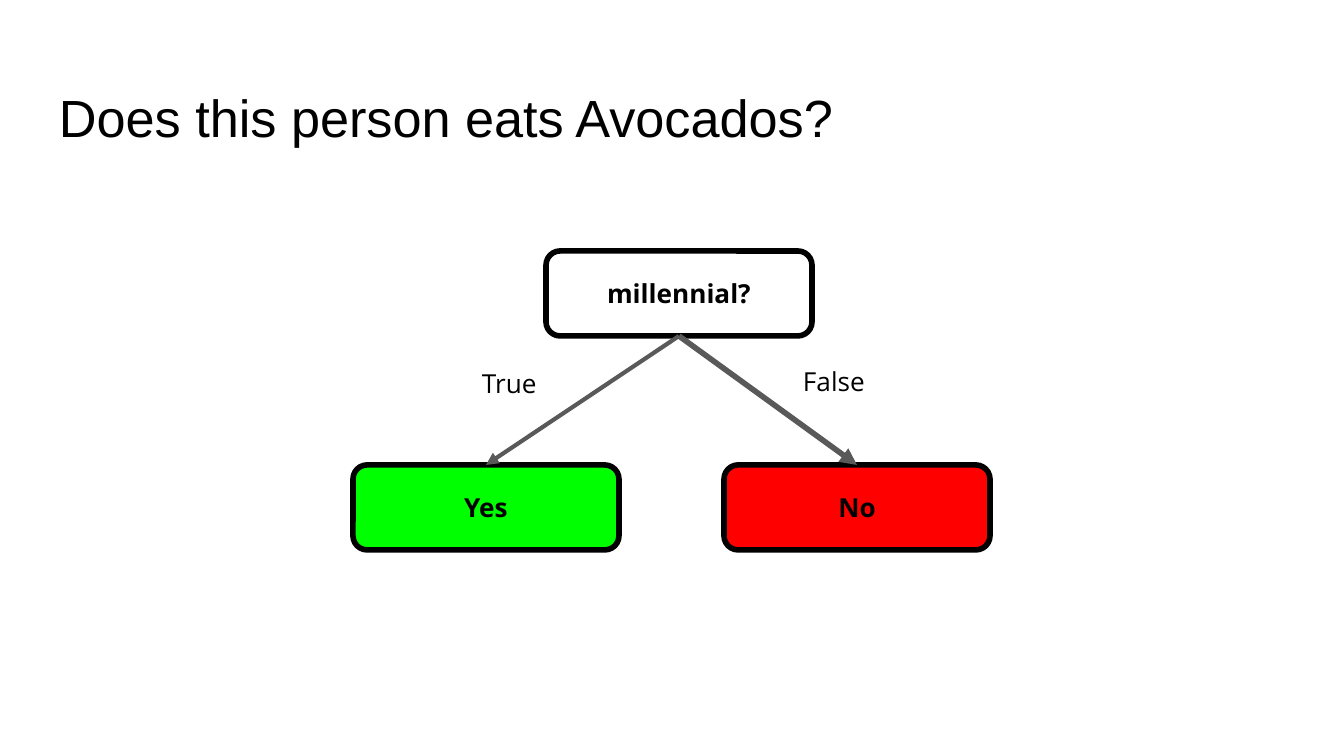
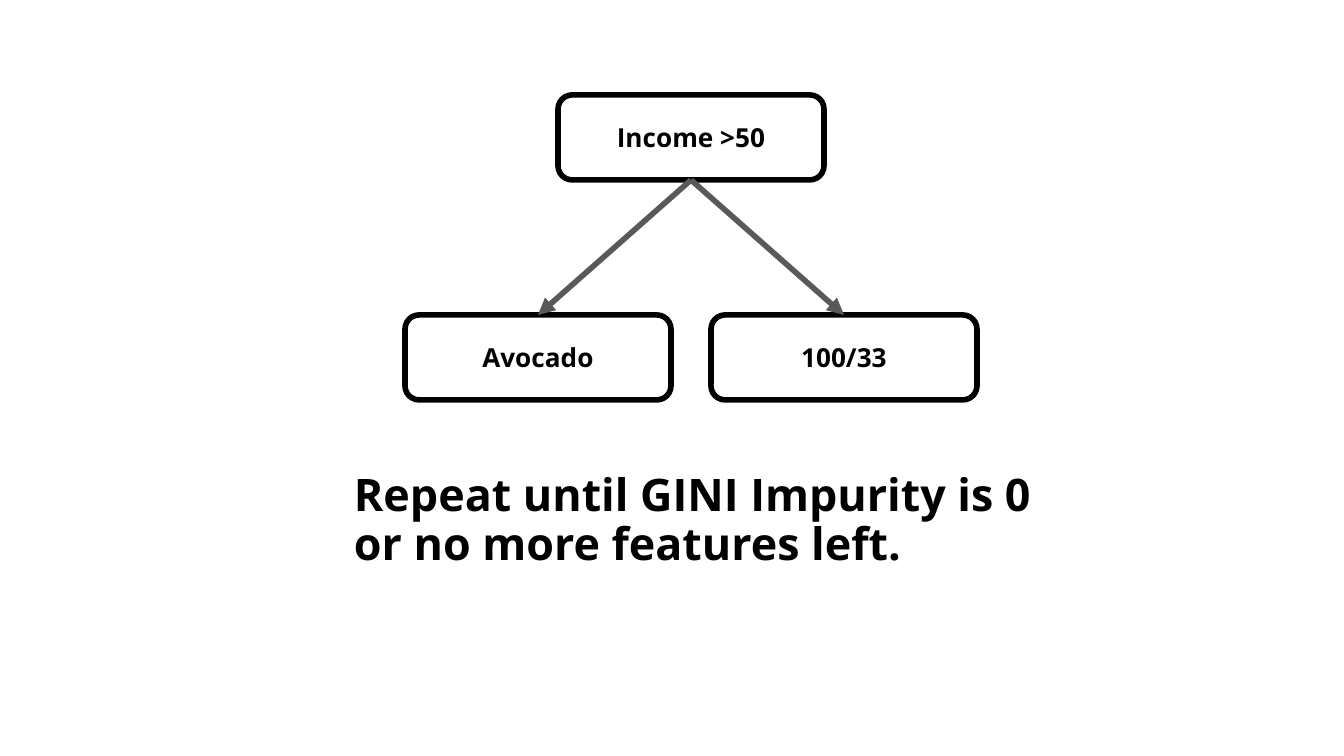
from pptx import Presentation
from pptx.dml.color import RGBColor
from pptx.enum.shapes import MSO_CONNECTOR, MSO_SHAPE
from pptx.enum.text import MSO_ANCHOR, PP_ALIGN
from pptx.oxml.ns import qn
from pptx.util import Pt
from lxml import etree

PX = 914400 / 134.4
BLACK, GREY, GREEN, RED = "000000", "595959", "00FF00", "FF0000"
HEADING_FONT, BODY_FONT = "Arial", "Open Sans"
NODE_WIDTH, NODE_HEIGHT, INSET = 266, 85, 13
BOTTOM, TOP = 2, 0  # connection sites of a rounded rectangle


def emu(*lengths):
    return [round(length * PX) for length in lengths]


def write(box, text, size, font=BODY_FONT, bold=False, spacing=1.0,
          align=PP_ALIGN.LEFT, anchor=MSO_ANCHOR.TOP):
    frame = box.text_frame
    frame.word_wrap = True
    frame.vertical_anchor = anchor
    frame.margin_left, frame.margin_top, frame.margin_right, frame.margin_bottom = emu(*[INSET] * 4)
    frame.text = text
    for para in frame.paragraphs:
        para.alignment = align
        para.line_spacing = spacing
        for span in para.runs:
            span.font.name = font
            span.font.size = Pt(size)
            span.font.bold = bold
            span.font.color.rgb = RGBColor.from_string(BLACK)


deck = Presentation()
deck.slide_width, deck.slide_height = emu(1344, 756)

# Each tree: root first, then its children with the width of their arrow
trees = [
    [("millennial?", 546, 251, None, None),
     ("Yes", 353, 465, GREEN, 2.25),
     ("No", 724, 465, RED, 3)],
    [("Income >50", 558, 95, None, None),
     ("Avocado", 405, 315, None, 3),
     ("100/33", 711, 315, None, 3)],
]

pages = []
for tree in trees:
    page = deck.slides.add_slide(deck.slide_layouts[6])
    pages.append(page)
    root = None
    for text, left, top, color, arrow_width in tree:
        # Node
        node = page.shapes.add_shape(MSO_SHAPE.ROUNDED_RECTANGLE,
                                     *emu(left, top, NODE_WIDTH, NODE_HEIGHT))
        node.shadow.inherit = False
        node.line.color.rgb = RGBColor.from_string(BLACK)
        node.line.width = Pt(3)
        if color:
            node.fill.solid()
            node.fill.fore_color.rgb = RGBColor.from_string(color)
        else:
            node.fill.background()
        write(node, text, 14, bold=True, align=PP_ALIGN.CENTER, anchor=MSO_ANCHOR.MIDDLE)
        if root is None:
            root = node
            continue

        # Arrow from the root to this child
        arrow = page.shapes.add_connector(MSO_CONNECTOR.STRAIGHT, 0, 0, 0, 0)
        arrow.begin_connect(root, BOTTOM)
        arrow.end_connect(node, TOP)
        arrow.line.color.rgb = RGBColor.from_string(GREY)
        arrow.line.width = Pt(arrow_width)
        etree.SubElement(arrow.line._get_or_add_ln(), qn("a:tailEnd"), type="triangle")
        etree.SubElement(arrow._element.spPr, qn("a:effectLst"))

decision_page, repeat_page = pages

# Title
title = decision_page.shapes.add_textbox(*emu(46, 66, 1253, 85))
write(title, "Does this person eats Avocados?", 28, font=HEADING_FONT, spacing=1.1)

# Branch labels
for text, left, top in [("False", 790, 356), ("True", 469, 358)]:
    label = decision_page.shapes.add_textbox(*emu(left, top, 114, 43))
    write(label, text, 14, spacing=0.9)

# Stopping rule
rule = repeat_page.shapes.add_textbox(*emu(341, 460, 821, 156))
write(rule, "Repeat until GINI Impurity is 0\nor no more features left.", 24, bold=True, spacing=0.9)

deck.save("out.pptx")
